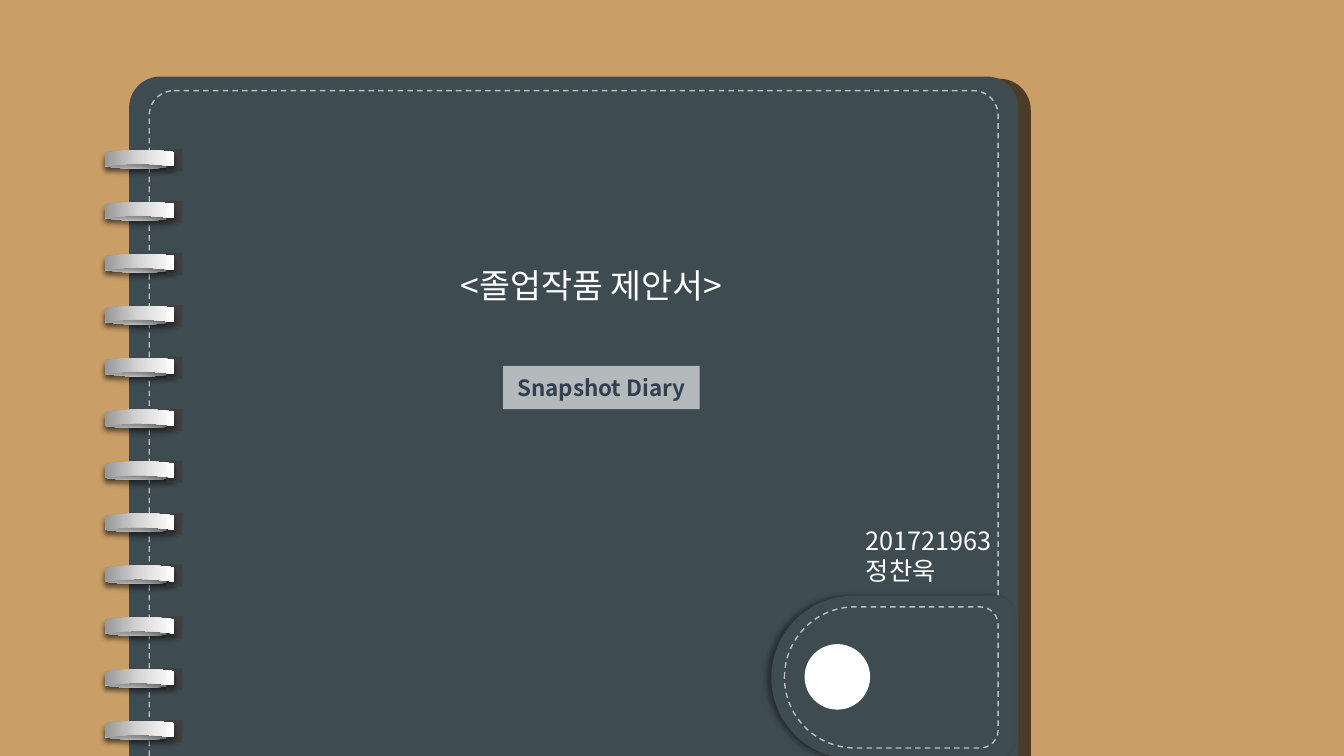
from copy import deepcopy

from lxml.etree import SubElement
from pptx import Presentation
from pptx.dml.color import RGBColor
from pptx.enum.dml import MSO_LINE
from pptx.enum.shapes import MSO_SHAPE
from pptx.enum.text import MSO_ANCHOR, MSO_AUTO_SIZE, PP_ALIGN
from pptx.oxml.ns import qn
from pptx.util import Inches, Pt

TAN = RGBColor(0xCA, 0x9E, 0x67)
SLATE = RGBColor(0x3E, 0x4B, 0x51)
STITCH = RGBColor(0xBF, 0xBF, 0xBF)
HOLE = RGBColor(0x40, 0x40, 0x40)
NAVY = RGBColor(0x33, 0x3F, 0x50)
WHITE = RGBColor(0xFF, 0xFF, 0xFF)
METAL = [(0, RGBColor(0x97, 0x97, 0x97)), (0.5, RGBColor(0xD7, 0xD7, 0xD7)), (1, WHITE)]
FONT = "Noto Sans CJK KR"

RING_COUNT, RING_TOP, RING_PITCH = 12, 1.48, 0.515
# Each band: gradient angle, then two Bezier edges measured from the ring's top
BACK_BAND = (180, [(1.04, 0.04), (1.37, 0.07), (1.5, 0.06), (1.73, 0.04),
                   (1.73, 0.17), (1.5, 0.2), (1.35, 0.21), (1.04, 0.17)])
FRONT_BAND = (0, [(1.73, 0.17), (1.4, 0.13), (1.27, 0.14), (1.04, 0.17),
                  (1.04, 0.03), (1.27, 0.01), (1.42, -0.01), (1.73, 0.03)])

prs = Presentation()
prs.slide_width, prs.slide_height = Inches(13.33), Inches(7.5)
slide = prs.slides.add_slide(prs.slide_layouts[5])
slide.background.fill.solid()
slide.background.fill.fore_color.rgb = TAN


def add_plain(kind, left, top, width, height, fill=None, adjustments=(), stitched=False,
              shapes=slide.shapes):
    """Add a preset shape with a flat fill or none, and a dashed outline if stitched."""
    shape = shapes.add_shape(kind, Inches(left), Inches(top), Inches(width), Inches(height))
    shape.shadow.inherit = False
    for index, value in enumerate(adjustments):
        shape.adjustments[index] = value
    if fill is None:
        shape.fill.background()
    else:
        shape.fill.solid()
        shape.fill.fore_color.rgb = fill
    if stitched:
        shape.line.color.rgb = STITCH
        shape.line.width = Pt(1)
        shape.line.dash_style = MSO_LINE.DASH
    else:
        shape.line.fill.background()
    return shape


def cast_shadow(shape, alpha, blur, distance, angle):
    """Give the shape a black outer shadow: percent, points, points, degrees."""
    shape.shadow.inherit = False
    effects = shape._element.spPr.find(qn("a:effectLst"))
    outer = SubElement(effects, qn("a:outerShdw"), blurRad=str(Pt(blur)), dist=str(Pt(distance)),
                       dir=str(angle * 60000), algn="ctr", rotWithShape="0")
    black = SubElement(outer, qn("a:srgbClr"), val="000000")
    SubElement(black, qn("a:alpha"), val=str(alpha * 1000))


# Cover
cover = add_plain(MSO_SHAPE.ROUND_2_SAME_RECTANGLE, 1.28, 0.76, 8.82, 6.74, SLATE, (0.046, 0))
cast_shadow(cover, 61, 0, 9, 10)
add_plain(MSO_SHAPE.ROUND_2_SAME_RECTANGLE, 1.48, 0.9, 8.42, 6.63,
          adjustments=(0.037, 0), stitched=True)

# Spiral binding
for ring_index in range(RING_COUNT):
    ring_top = RING_TOP + ring_index * RING_PITCH
    ring = slide.shapes.add_group_shape()
    for angle, outline in (BACK_BAND, FRONT_BAND):
        if angle == 0:
            add_plain(MSO_SHAPE.RECTANGLE, 1.65, ring_top, 0.16, 0.22, HOLE, shapes=ring.shapes)
        points = [(Inches(x), Inches(ring_top + y)) for x, y in outline]
        builder = ring.shapes.build_freeform(*points[0])
        builder.add_line_segments(points[1:], close=True)
        band = builder.convert_to_shape()
        # Turn the three segments of each long edge into one curve
        segments = list(band._element.spPr.iter(qn("a:lnTo")))
        for edge in (segments[0:3], segments[4:7]):
            curve = edge[0].makeelement(qn("a:cubicBezTo"))
            edge[0].addprevious(curve)
            for segment in edge:
                curve.append(segment[0])
                segment.getparent().remove(segment)
        band.line.fill.background()
        band.fill.gradient()
        band.fill.gradient_angle = angle
        stop_list = band._element.spPr.find(".//" + qn("a:gsLst"))
        stop_list.insert(1, deepcopy(stop_list[0]))
        for stop, (position, color) in zip(band.fill.gradient_stops, METAL):
            stop.position = position
            stop.color.rgb = color
        cast_shadow(band, 40, 4, 3, 90)

# Closing flap
flap = add_plain(MSO_SHAPE.ROUND_2_SAME_RECTANGLE, 8.05, 5.51, 1.62, 2.42, SLATE, (0.5, 0.127))
flap.rotation = 270
cast_shadow(flap, 40, 4, 3, 180)
flap_stitch = add_plain(MSO_SHAPE.ROUND_2_SAME_RECTANGLE, 8.14, 5.66, 1.4, 2.12, SLATE,
                        (0.5, 0.127), stitched=True)
flap_stitch.rotation = 270

# Title, brought in front of the cover
title = slide.shapes.title
slide.shapes._spTree.append(title._element)
title.left, title.top, title.width, title.height = map(Inches, (3.36, 2.38, 5.01, 0.63))
title.text_frame.text = "<졸업작품 제안서>"
title.text_frame.vertical_anchor = MSO_ANCHOR.TOP
title.text_frame.paragraphs[0].line_spacing = 1.5

# Subtitle label
label = add_plain(MSO_SHAPE.RECTANGLE, 4.99, 3.63, 1.95, 0.43, WHITE)
label_color = label._element.spPr.find(qn("a:solidFill")).find(qn("a:srgbClr"))
SubElement(label_color, qn("a:alpha"), val="61000")
label.text_frame.text = "Snapshot Diary"
label.text_frame.vertical_anchor = MSO_ANCHOR.MIDDLE

# Flap button
add_plain(MSO_SHAPE.OVAL, 7.98, 6.39, 0.65, 0.65, WHITE)

# Author
author = slide.shapes.add_textbox(Inches(8.49), Inches(5.16), Inches(1.58), Inches(0.71))
author.text_frame.text = "201721963\n정찬욱"

for shape, size, color, bold, alignment in (
    (title, 24, WHITE, False, PP_ALIGN.CENTER),
    (label, 16, NAVY, True, PP_ALIGN.CENTER),
    (author, 18, WHITE, False, PP_ALIGN.LEFT),
):
    shape.text_frame.word_wrap = True
    shape.text_frame.auto_size = MSO_AUTO_SIZE.NONE
    for paragraph in shape.text_frame.paragraphs:
        paragraph.alignment = alignment
        for run in paragraph.runs:
            run.font.name = FONT
            run.font.size = Pt(size)
            run.font.bold = bold
            run.font.color.rgb = color
            SubElement(run.font._element, qn("a:ea"), typeface=FONT)

prs.save("out.pptx")
